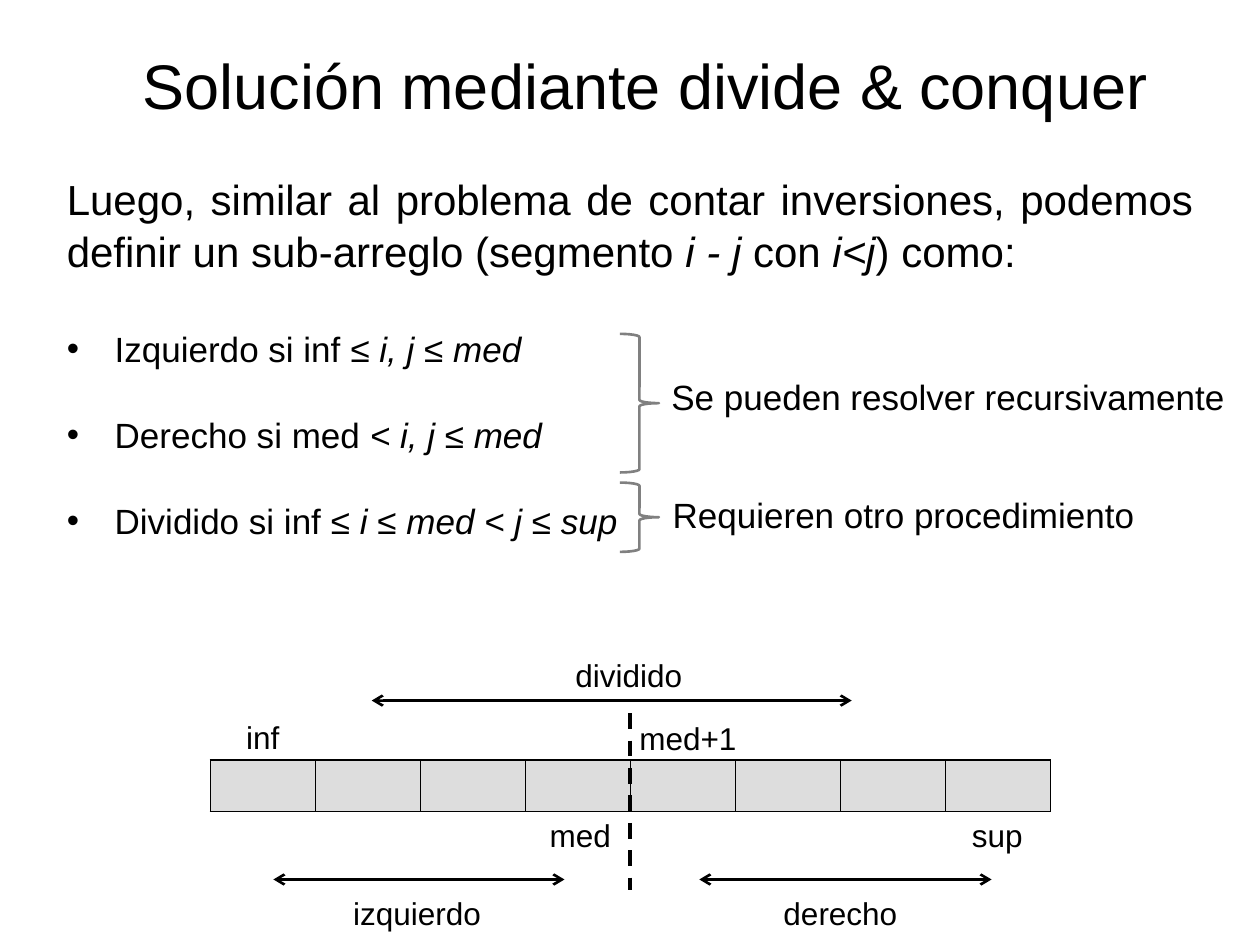
from dataclasses import dataclass
from typing import NamedTuple

from lxml import etree
from pptx import Presentation
from pptx.dml.color import RGBColor
from pptx.enum.dml import MSO_LINE
from pptx.enum.shapes import MSO_CONNECTOR, MSO_SHAPE
from pptx.enum.text import MSO_ANCHOR, MSO_AUTO_SIZE, PP_ALIGN
from pptx.oxml.ns import qn
from pptx.util import Inches, Pt

LEFT, CENTER, JUSTIFY = PP_ALIGN.LEFT, PP_ALIGN.CENTER, PP_ALIGN.JUSTIFY
TOP, BOTTOM = MSO_ANCHOR.TOP, MSO_ANCHOR.BOTTOM
NO_FIT, GROW = MSO_AUTO_SIZE.NONE, MSO_AUTO_SIZE.SHAPE_TO_FIT_TEXT
DASH = MSO_LINE.DASH


@dataclass(frozen=True)
class Theme:
    font: str = "Arial"
    ink: RGBColor = RGBColor(0x00, 0x00, 0x00)
    brace: RGBColor = RGBColor(0x80, 0x80, 0x80)
    cell: RGBColor = RGBColor(0xDD, 0xDD, 0xDD)
    title_size: int = 36
    intro_size: int = 24
    list_size: int = 20
    label_size: int = 18


class Box(NamedTuple):
    left: float
    top: float
    width: float
    height: float

    def lengths(self) -> list:
        return [Inches(value) for value in self]


class Label(NamedTuple):
    text: str
    box: Box
    size: int
    alignment: PP_ALIGN = CENTER


class Line(NamedTuple):
    start: tuple[float, float]
    end: tuple[float, float]
    width: float = 1.5
    dashed: bool = False


class Segment(NamedTuple):
    text: str
    italic: bool = False


THEME = Theme()
CELL_COUNT = 8
ARRAY = Box(1.67, 6.03, 6.67, 0.41)
INDENT = 0.38

INTRO = [
    Segment("Luego, similar al problema de contar inversiones, podemos "
            "definir un sub-arreglo (segmento "),
    Segment("i - j ", True),
    Segment("con"),
    Segment(" i<j", True),
    Segment(") como:"),
]
CASES = [
    [Segment("Izquierdo si inf "), Segment("≤ i, j ≤ med", True)],
    [Segment("Derecho si med "), Segment("< i, j ≤ med", True)],
    [Segment("Dividido si inf "), Segment("≤ i ≤ med < j ≤ sup", True)],
]
BRACES = [Box(4.92, 2.65, 0.31, 1.1), Box(4.92, 3.83, 0.31, 0.55)]
LABELS = [
    Label("Se pueden resolver recursivamente", Box(5.23, 2.93, 4.77, 0.44), THEME.list_size, LEFT),
    Label("Requieren otro procedimiento", Box(5.24, 3.87, 4.76, 0.44), THEME.list_size, LEFT),
    Label("inf", Box(1.69, 5.65, 0.79, 0.4), THEME.label_size),
    Label("sup", Box(7.52, 6.43, 0.79, 0.4), THEME.label_size),
    Label("med", Box(4.21, 6.43, 0.79, 0.4), THEME.label_size),
    Label("med+1", Box(4.91, 5.66, 1.1, 0.4), THEME.label_size),
    Label("izquierdo", Box(2.56, 7.05, 1.5, 0.4), THEME.label_size),
    Label("derecho", Box(5.92, 7.05, 1.5, 0.4), THEME.label_size),
    Label("dividido", Box(4.24, 5.16, 1.5, 0.4), THEME.label_size),
]
LINES = [
    Line((2.95, 5.56), (6.76, 5.56)),
    Line((2.17, 6.98), (4.48, 6.98)),
    Line((5.55, 6.98), (7.87, 6.98)),
    Line((5, 5.66), (5, 7.06), 2.25, dashed=True),
]


def add_runs(paragraph, segments: list[Segment], size: int, alignment: PP_ALIGN) -> None:
    paragraph.alignment = alignment
    for segment in segments:
        run = paragraph.add_run()
        run.text = segment.text
        run.font.name = THEME.font
        run.font.size = Pt(size)
        run.font.italic = segment.italic
        run.font.color.rgb = THEME.ink


def place(shape, box: Box) -> None:
    shape.left, shape.top, shape.width, shape.height = box.lengths()


def set_bullet(paragraph, character: str = "", indent: float = 0) -> None:
    """Give the paragraph a hanging bullet, or none when no character is given."""
    properties = paragraph._p.get_or_add_pPr()
    properties.set("marL", str(Inches(indent)))
    properties.set("indent", str(-Inches(indent)))
    if character:
        etree.SubElement(properties, qn("a:buChar"), char=character)
    else:
        etree.SubElement(properties, qn("a:buNone"))


def fill_title(title) -> None:
    place(title, Box(0.83, 0.21, 8.58, 0.81))
    frame = title.text_frame
    frame.auto_size, frame.vertical_anchor = NO_FIT, BOTTOM
    segments = [Segment("Solución mediante divide & conquer")]
    add_runs(frame.paragraphs[0], segments, THEME.title_size, CENTER)


def fill_body(body) -> None:
    place(body, Box(0.43, 1.31, 9.14, 3.31))
    frame = body.text_frame
    frame.auto_size, frame.vertical_anchor = NO_FIT, TOP
    intro = frame.paragraphs[0]
    set_bullet(intro)
    intro.space_before = Pt(0)
    intro.line_spacing = 1.04
    add_runs(intro, INTRO, THEME.intro_size, JUSTIFY)
    for index, case in enumerate(CASES):
        paragraph = frame.add_paragraph()
        set_bullet(paragraph, "•", INDENT)
        paragraph.space_before = Pt(24 if index else 28.7)
        paragraph.line_spacing = 1.04
        add_runs(paragraph, case, THEME.list_size, JUSTIFY)


def add_label(slide, label: Label) -> None:
    frame = slide.shapes.add_textbox(*label.box.lengths()).text_frame
    frame.word_wrap = True
    frame.auto_size = GROW
    add_runs(frame.paragraphs[0], [Segment(label.text)], label.size, label.alignment)


def add_brace(slide, box: Box) -> None:
    brace = slide.shapes.add_shape(MSO_SHAPE.RIGHT_BRACE, *box.lengths())
    brace.shadow.inherit = False
    brace.fill.background()
    brace.line.color.rgb = THEME.brace
    brace.line.width = Pt(1.5)


def add_border(cell, width: float) -> None:
    properties = cell._tc.get_or_add_tcPr()
    for side in ("lnL", "lnR", "lnT", "lnB"):
        border = etree.SubElement(properties, qn(f"a:{side}"), w=str(Pt(width)))
        fill = etree.SubElement(border, qn("a:solidFill"))
        etree.SubElement(fill, qn("a:srgbClr"), val=str(THEME.ink))


def add_array(slide) -> None:
    table = slide.shapes.add_table(1, CELL_COUNT, *ARRAY.lengths()).table
    for column in table.columns:
        column.width = Inches(ARRAY.width / CELL_COUNT)
    for cell in table.iter_cells():
        add_border(cell, 1)
        cell.fill.solid()
        cell.fill.fore_color.rgb = THEME.cell


def add_line(slide, line: Line) -> None:
    """Draw a dashed divider, or a solid line with an arrowhead at both ends."""
    ends = [Inches(value) for value in (*line.start, *line.end)]
    connector = slide.shapes.add_connector(MSO_CONNECTOR.STRAIGHT, *ends)
    connector.line.color.rgb = THEME.ink
    connector.line.width = Pt(line.width)
    if line.dashed:
        connector.line.dash_style = DASH
    else:
        for end in ("headEnd", "tailEnd"):
            etree.SubElement(connector.line._get_or_add_ln(), qn(f"a:{end}"), type="arrow")
    etree.SubElement(connector._element.spPr, qn("a:effectLst"))


def main() -> None:
    presentation = Presentation()
    presentation.slide_width, presentation.slide_height = Inches(10), Inches(7.5)
    slide = presentation.slides.add_slide(presentation.slide_layouts[1])
    fill_title(slide.shapes.title)
    fill_body(slide.placeholders[1])
    for brace in BRACES:
        add_brace(slide, brace)
    add_array(slide)
    for label in LABELS:
        add_label(slide, label)
    for line in LINES:
        add_line(slide, line)
    presentation.save("out.pptx")


if __name__ == "__main__":
    main()
